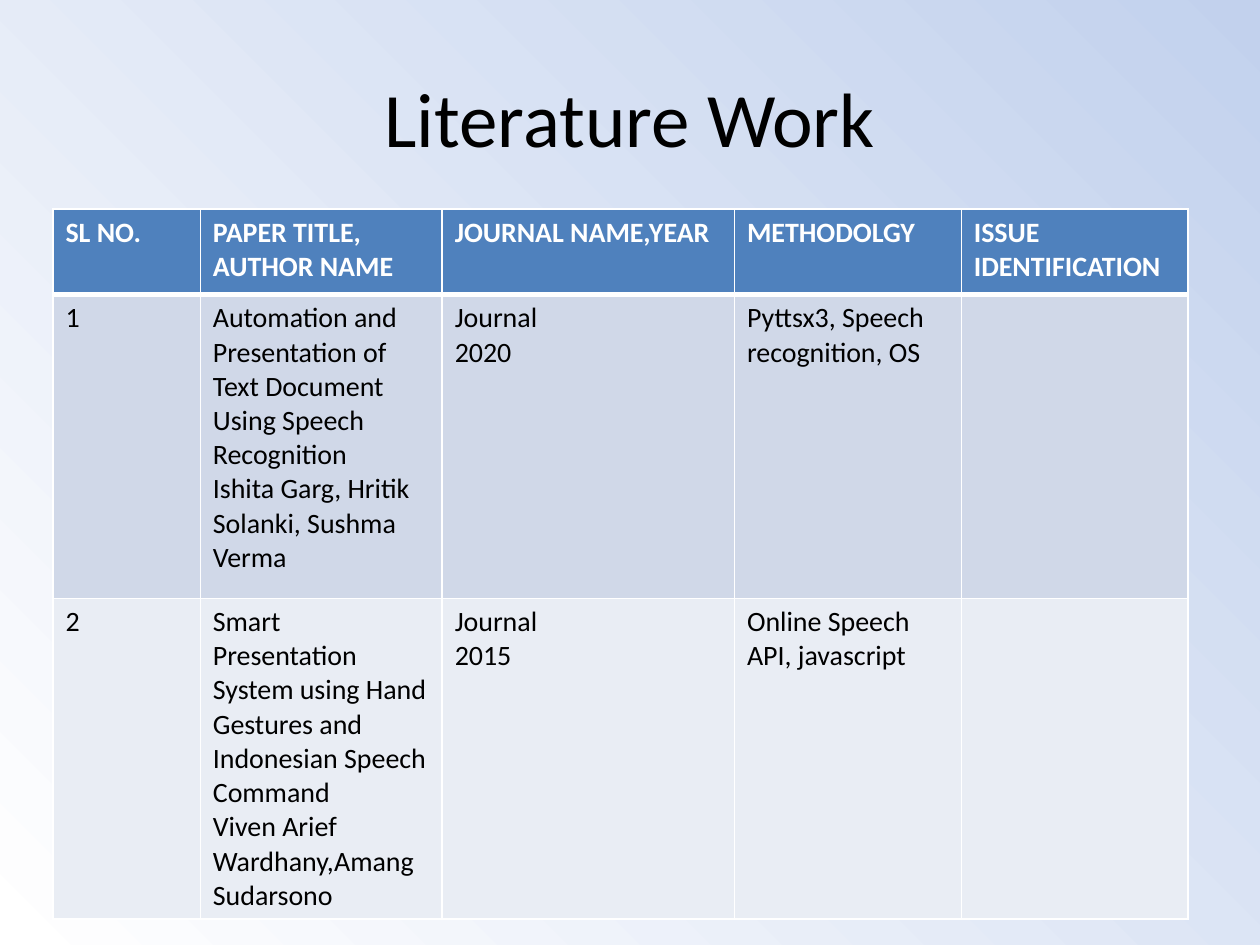
from lxml.etree import SubElement
from pptx import Presentation
from pptx.dml.color import RGBColor
from pptx.enum.text import MSO_ANCHOR, PP_ALIGN
from pptx.oxml.ns import qn
from pptx.util import Inches, Pt

FONT = "Calibri"
HEADER = ["SL NO.", "PAPER TITLE, AUTHOR NAME", "JOURNAL NAME,YEAR",
          "METHODOLGY", "ISSUE IDENTIFICATION"]
PAPERS = [
    ["1",
     "Automation and Presentation of Text Document\nUsing Speech Recognition\n"
     "Ishita Garg, Hritik Solanki, Sushma Verma",
     "Journal\n2020", "Pyttsx3, Speech recognition, OS", ""],
    ["2",
     "Smart Presentation System using Hand Gestures and\n"
     "Indonesian Speech Command\nViven Arief Wardhany,Amang Sudarsono",
     "Journal\n2015", "Online Speech API, javascript", ""],
]
COL_WIDTHS = [1.17, 1.92, 2.32, 1.8, 1.8]
ROW_HEIGHTS = [0.68, 2.41, 2.41]
ROW_FILLS = ["4F81BD", "D0D8E8", "E9EDF4"]


def rgb(hex_color):
    return RGBColor.from_string(hex_color)


def style_text(tf, size, color, bold=False, align=PP_ALIGN.LEFT):
    for p in tf.paragraphs:
        p.alignment = align
        p.font.name, p.font.size, p.font.bold = FONT, Pt(size), bold
        p.font.color.rgb = rgb(color)


def set_borders(cell, bottom):
    """White cell borders; they must stand before the fill in tcPr."""
    tc_pr = cell._tc.get_or_add_tcPr()
    widths = {"a:lnL": 1, "a:lnR": 1, "a:lnT": 1, "a:lnB": bottom}
    for i, (tag, width) in enumerate(widths.items()):
        ln = SubElement(tc_pr, qn(tag), w=str(Pt(width)))
        fill = SubElement(ln, qn("a:solidFill"))
        SubElement(fill, qn("a:srgbClr"), val="FFFFFF")
        tc_pr.insert(i, ln)


def add_background(slide):
    fill = slide.background.fill
    fill.gradient()
    fill.gradient_angle = 45
    for stop, color in zip(fill.gradient_stops, ["FFFFFF", "C2D1ED"]):
        stop.color.rgb = rgb(color)


def add_title(slide, text, x, y, w, h):
    title = slide.shapes.title
    title.left, title.top, title.width, title.height = map(Inches, (x, y, w, h))
    tf = title.text_frame
    tf.text = text
    tf.vertical_anchor = MSO_ANCHOR.MIDDLE
    style_text(tf, 44, "000000", align=PP_ALIGN.CENTER)


def add_papers_table(slide, rows, x, y):
    box = map(Inches, (x, y, sum(COL_WIDTHS), sum(ROW_HEIGHTS)))
    table = slide.shapes.add_table(len(rows), len(COL_WIDTHS), *box).table
    for col, width in zip(table.columns, COL_WIDTHS):
        col.width = Inches(width)
    for r, values in enumerate(rows):
        table.rows[r].height = Inches(ROW_HEIGHTS[r])
        is_header = r == 0
        for c, value in enumerate(values):
            cell = table.cell(r, c)
            cell.text = value
            style_text(cell.text_frame, 16, "FFFFFF" if is_header else "000000", is_header)
            cell.fill.solid()
            cell.fill.fore_color.rgb = rgb(ROW_FILLS[r])
            set_borders(cell, 3 if is_header else 1)


prs = Presentation()
prs.slide_width, prs.slide_height = Inches(10), Inches(7.5)
slide = prs.slides.add_slide(prs.slide_layouts[5])  # title only
add_background(slide)
add_title(slide, "Literature Work", 0.5, 0.3, 9, 1.25)
add_papers_table(slide, [HEADER] + PAPERS, 0.42, 1.66)
prs.save("out.pptx")
